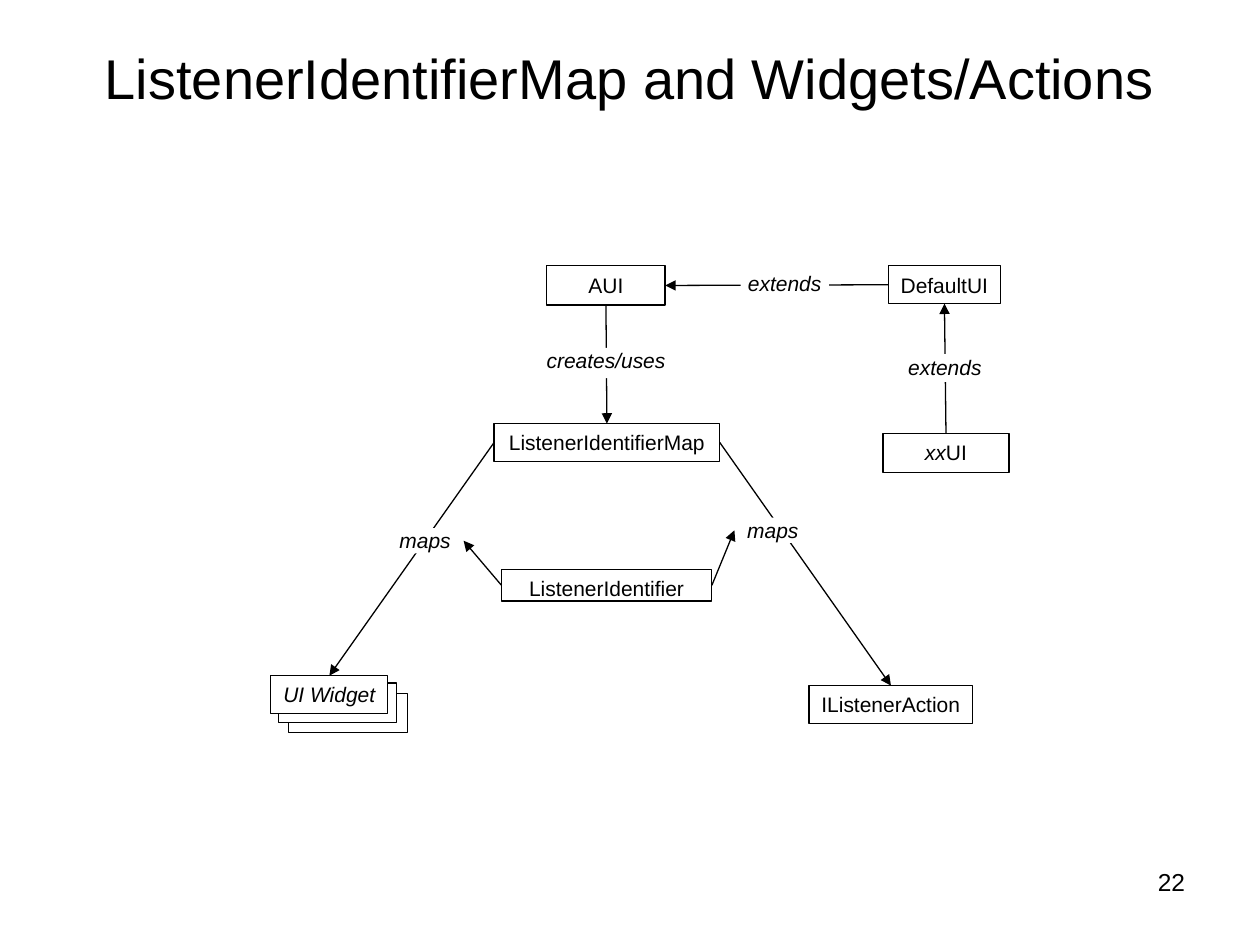
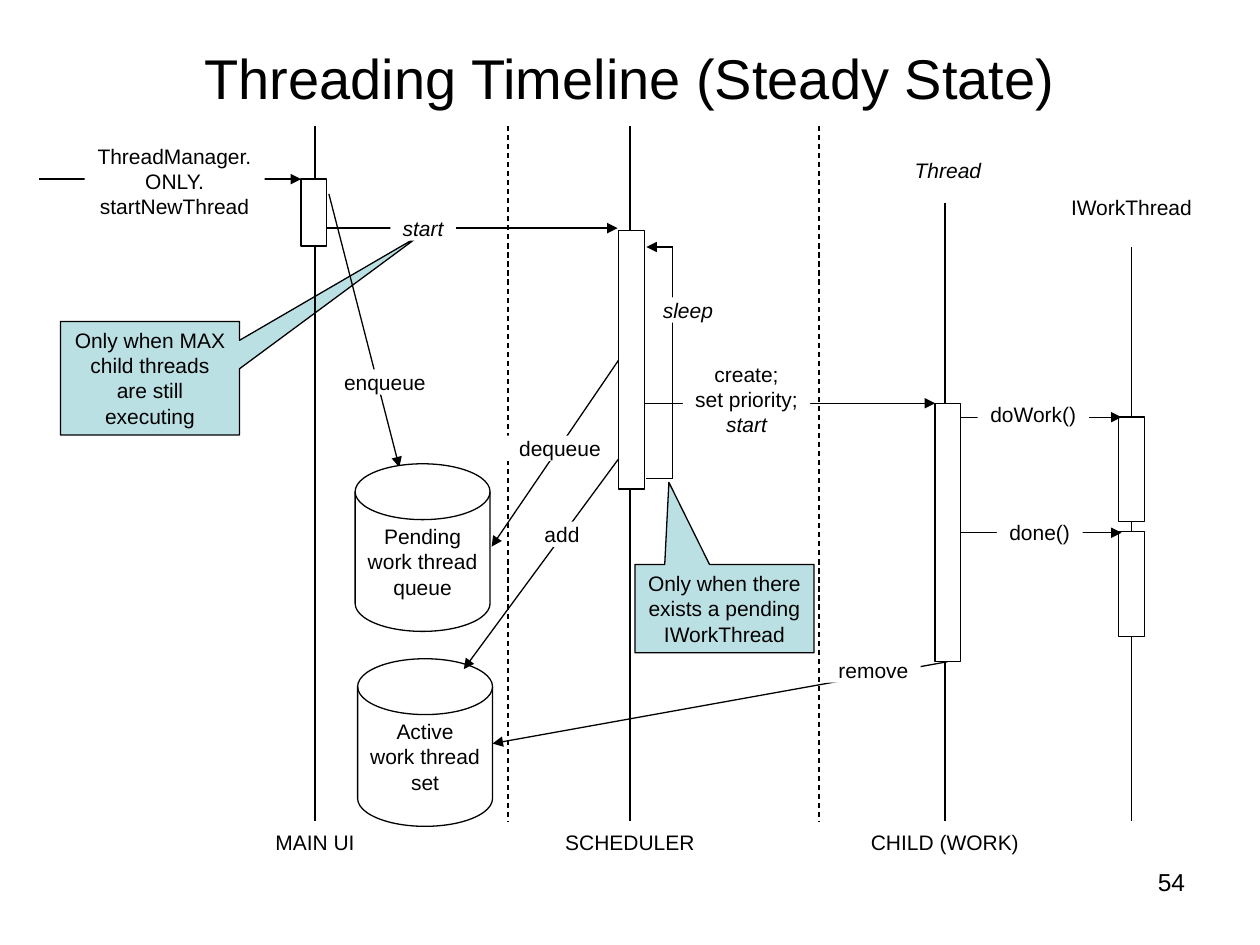
from dataclasses import dataclass
from typing import Any

from lxml.etree import SubElement
from pptx import Presentation
from pptx.dml.color import RGBColor
from pptx.enum.dml import MSO_LINE
from pptx.enum.shapes import MSO_CONNECTOR, MSO_SHAPE
from pptx.enum.text import MSO_ANCHOR, MSO_AUTO_SIZE, PP_ALIGN
from pptx.oxml.ns import qn
from pptx.util import Cm, Pt

FONT = "Arial"
BLACK = "000000"
WHITE = "FFFFFF"
CALLOUT_BLUE = "BBE0E3"
LINE_WIDTH = Pt(0.75)
LINE_HEIGHT = 0.51
TOP, LEFT, BOTTOM, RIGHT = range(4)


def color(hex_string):
    """Turn a hex string into a colour."""
    return RGBColor.from_string(hex_string)


def format_run(run, size=12, italic=False):
    """Give a run the shared font."""
    run.font.name = FONT
    run.font.size = Pt(size)
    run.font.italic = italic
    run.font.color.rgb = color(BLACK)


def write(shape, text, size=12, italic=False, align=PP_ALIGN.CENTER, wrap=False):
    """Fill a shape with aligned, formatted text."""
    text_frame = shape.text_frame
    text_frame.text = text
    text_frame.word_wrap = wrap
    for paragraph in text_frame.paragraphs:
        paragraph.alignment = align
        for run in paragraph.runs:
            format_run(run, size, italic)


@dataclass
class Region:
    """A diagram area whose parts are placed in centimetres from its corner."""

    slide: Any
    left: float
    top: float

    def add_block(self, left, top, width, height, text="", italic=False, kind=MSO_SHAPE.RECTANGLE,
                  fill=WHITE, anchor=MSO_ANCHOR.TOP, wrap=False):
        """Add an outlined shape with optional text."""
        shape = self.slide.shapes.add_shape(
            kind, Cm(self.left + left), Cm(self.top + top), Cm(width), Cm(height))
        shape.shadow.inherit = False
        shape.fill.solid()
        shape.fill.fore_color.rgb = color(fill)
        shape.line.color.rgb = color(BLACK)
        shape.line.width = LINE_WIDTH
        shape.text_frame.vertical_anchor = anchor
        if text:
            write(shape, text, italic=italic, wrap=wrap)
        return shape

    def add_label(self, text, center_x, center_y, width, italic=False, line_height=LINE_HEIGHT):
        """Add a white label centred on a point."""
        height = line_height * len(text.split("\n"))
        shape = self.add_block(center_x - width / 2, center_y - height / 2, width, height, text, italic)
        shape.line.fill.background()
        shape.text_frame.margin_top = shape.text_frame.margin_bottom = 0
        return shape

    def add_callout(self, text, left, top, width, height, pointer):
        """Add a speech box with its tip at a relative offset."""
        shape = self.add_block(left, top, width, height, text, kind=MSO_SHAPE.RECTANGULAR_CALLOUT,
                               fill=CALLOUT_BLUE, wrap=True)
        shape.adjustments[0], shape.adjustments[1] = pointer
        return shape

    def add_line(self, start_x, start_y, end_x, end_y, arrow=False, dashed=False):
        """Add a straight line, optionally dashed or with an arrowhead."""
        connector = self.slide.shapes.add_connector(
            MSO_CONNECTOR.STRAIGHT, Cm(self.left + start_x), Cm(self.top + start_y),
            Cm(self.left + end_x), Cm(self.top + end_y))
        connector.line.color.rgb = color(BLACK)
        connector.line.width = LINE_WIDTH
        if dashed:
            connector.line.dash_style = MSO_LINE.DASH
        properties = connector._element.spPr
        if arrow:
            SubElement(properties.find(qn("a:ln")), qn("a:tailEnd"), type="triangle")
        SubElement(properties, qn("a:effectLst"))
        return connector

    def link(self, source, source_side, target, target_side):
        """Glue an arrow between the sides of two shapes."""
        connector = self.add_line(0, 0, 0, 0, arrow=True)
        connector.begin_connect(source, source_side)
        connector.end_connect(target, target_side)


def add_titled_slide(presentation, title, number):
    """Add a slide with the shared title and page number."""
    slide = presentation.slides.add_slide(presentation.slide_layouts[5])
    shape = slide.shapes.title
    shape.left, shape.top, shape.width, shape.height = Cm(1.27), Cm(0.76), Cm(22.86), Cm(1.57)
    write(shape, title, size=32, wrap=True)
    shape.text_frame.auto_size = MSO_AUTO_SIZE.NONE
    shape.text_frame.vertical_anchor = MSO_ANCHOR.MIDDLE
    number_box = slide.shapes.add_textbox(Cm(19.69), Cm(17.35), Cm(4.45), Cm(1.32))
    write(number_box, number, size=14, align=PP_ALIGN.RIGHT, wrap=True)
    return slide


def draw_class_diagram(region):
    """Draw the classes around the listener identifier map."""
    for offset in (0.36, 0.15):
        region.add_block(offset, 8.26 + offset, 2.39, 0.79)
    widget = region.add_block(0, 8.26, 2.36, 0.76, "UI Widget", italic=True)
    identifier_map = region.add_block(4.5, 3.18, 4.55, 0.76, "ListenerIdentifierMap")
    identifier = region.add_block(4.65, 6.12, 4.24, 0.64, "ListenerIdentifier")
    action = region.add_block(10.85, 8.46, 3.3, 0.76, "IListenerAction")
    abstract_ui = region.add_block(5.56, 0, 2.39, 0.79, "AUI")
    default_ui = region.add_block(12.45, 0, 2.26, 0.76, "DefaultUI")
    custom_ui = region.add_block(12.34, 3.38, 2.54, 0.79, "xx", italic=True)
    suffix = custom_ui.text_frame.paragraphs[0].add_run()
    suffix.text = "UI"
    format_run(suffix)

    region.link(identifier_map, LEFT, widget, TOP)
    region.link(identifier_map, RIGHT, action, TOP)
    region.link(default_ui, LEFT, abstract_ui, RIGHT)
    region.link(abstract_ui, BOTTOM, identifier_map, TOP)
    region.link(custom_ui, TOP, default_ui, BOTTOM)

    widget_label = region.add_label("maps", 3.11, 5.54, 1.55, italic=True)
    action_label = region.add_label("maps", 10.12, 5.33, 1.55, italic=True)
    region.add_label("extends", 10.36, 0.38, 1.78, italic=True, line_height=0.56)
    region.add_label("extends", 13.59, 2.06, 1.78, italic=True, line_height=0.56)
    region.add_label("creates/uses", 6.76, 1.96, 2.59, italic=True, line_height=0.61)
    region.link(identifier, LEFT, widget_label, RIGHT)
    region.link(identifier, RIGHT, action_label, LEFT)


def draw_lifelines(region):
    """Draw the lifelines, lane dividers, captions and activation bars."""
    bottom = 14.02
    for x, top in ((5.56, 0), (11.91, 0), (18.26, 1.55), (22.02, 2.44)):
        region.add_line(x, top, x, bottom)
    for x in (9.45, 15.72):
        region.add_line(x, 0, x, bottom, dashed=True)
    for caption, x, width in (("MAIN UI", 5.56, 2.11), ("SCHEDULER", 11.91, 3.12),
                              ("CHILD (WORK)", 18.26, 3.48)):
        region.add_label(caption, x, 14.43, width)
    region.add_label("Thread", 18.32, 0.89, 1.85, italic=True)
    region.add_label("IWorkThread", 22.02, 1.63, 2.95)
    bar_width = 0.52
    for center, top, height in ((5.54, 1.07, 1.35), (11.94, 2.11, 5.21), (18.32, 5.59, 5.21),
                                (22.02, 5.87, 2.11), (22.02, 8.18, 2.11)):
        region.add_block(center - bar_width / 2, top, bar_width, height)


def draw_messages(region):
    """Draw the arrows between lifelines and stores, then their labels."""
    for ends in ((0, 1.07, 5.28, 1.07), (5.79, 2.06, 11.66, 2.06), (11.68, 4.72, 9.12, 8.48),
                 (12.21, 5.59, 18.06, 5.59), (18.31, 10.8, 9.14, 12.45),
                 (11.68, 6.71, 8.56, 10.95), (12.77, 2.44, 12.24, 2.44),
                 (18.59, 5.87, 21.82, 5.87), (18.59, 8.2, 21.82, 8.2)):
        region.add_line(*ends, arrow=True)
    region.add_line(12.24, 7.11, 12.77, 7.11)
    region.add_line(12.77, 7.11, 12.77, 2.44)
    for text, x, y, width in (("ThreadManager.\nONLY.\nstartNewThread", 2.73, 1.12, 3.63),
                              ("enqueue", 6.97, 5.16, 2.16), ("dequeue", 10.5, 6.5, 2.16),
                              ("remove", 16.82, 10.97, 1.9), ("add", 10.54, 8.23, 1.22),
                              ("doWork()", 20.04, 5.82, 2.24), ("done()", 20.17, 8.18, 1.73)):
        region.add_label(text, x, y, width)
    region.add_label("start", 7.74, 2.06, 1.32, italic=True)
    region.add_label("sleep", 13.08, 3.71, 1.52, italic=True)
    create = region.add_label("create;\nset priority;\nstart", 14.26, 5.51, 2.57)
    format_run(create.text_frame.paragraphs[-1].runs[0], italic=True)


def draw_timeline(region):
    """Draw the threading sequence with its stores and callouts."""
    region.add_callout("Only when MAX child threads are still executing",
                       0.43, 3.94, 3.61, 2.29, (1.51, -1.26))
    region.add_line(5.84, 1.37, 7.26, 6.88, arrow=True)
    draw_lifelines(region)
    for text, left, top in (("Pending\nwork thread\nqueue", 6.37, 6.81),
                            ("Active\nwork thread\nset", 6.42, 10.74)):
        region.add_block(left, top, 2.72, 3.38, text, kind=MSO_SHAPE.FLOWCHART_MAGNETIC_DISK,
                         anchor=MSO_ANCHOR.MIDDLE)
    draw_messages(region)
    region.add_callout("Only when there exists a pending IWorkThread",
                       12.01, 8.84, 3.61, 1.78, (-0.31, -1.43))


def main():
    """Build and save the presentation."""
    presentation = Presentation()
    presentation.slide_width, presentation.slide_height = Cm(25.4), Cm(19.05)
    slide = add_titled_slide(presentation, "ListenerIdentifierMap and Widgets/Actions", "22")
    draw_class_diagram(Region(slide, 5.46, 5.36))
    slide = add_titled_slide(presentation, "Threading Timeline (Steady State)", "54")
    draw_timeline(Region(slide, 0.79, 2.54))
    presentation.save("out.pptx")


if __name__ == "__main__":
    main()
